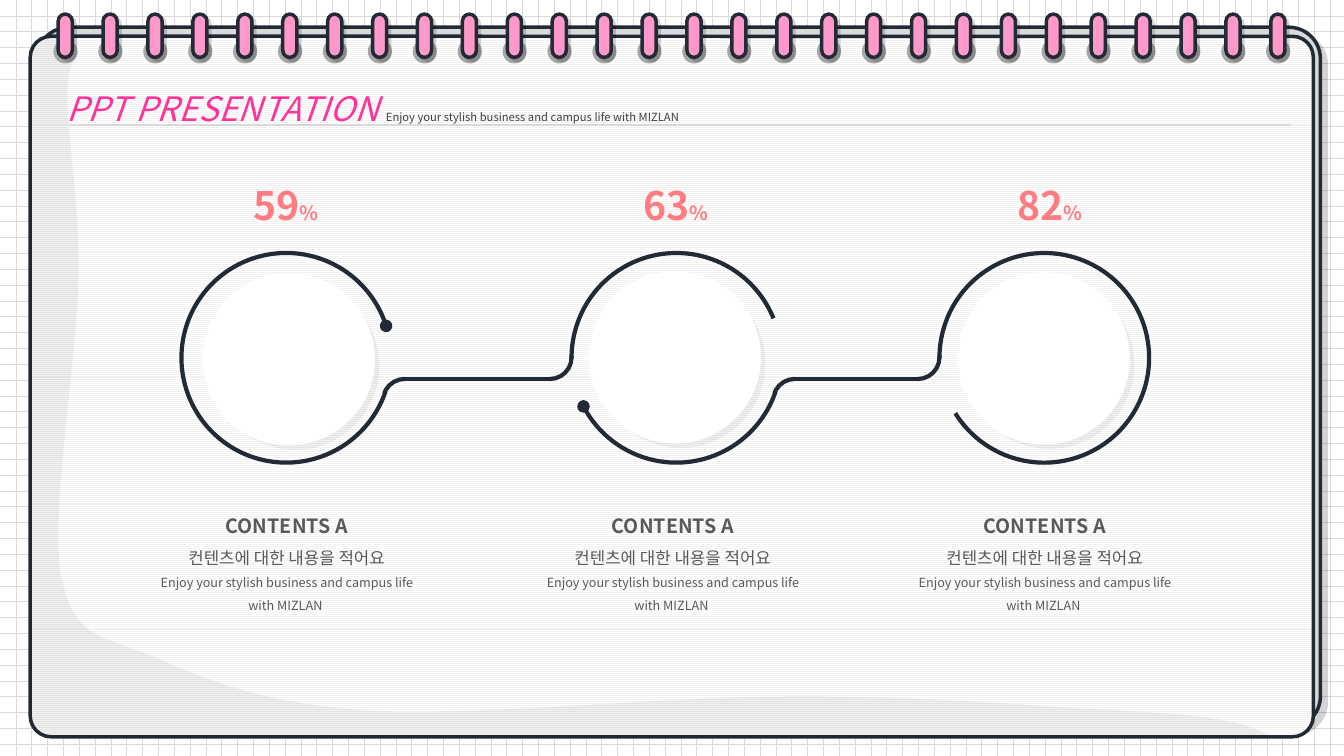
from dataclasses import dataclass

from lxml.etree import SubElement
from pptx import Presentation
from pptx.dml.color import RGBColor
from pptx.enum.dml import MSO_PATTERN
from pptx.enum.shapes import MSO_CONNECTOR, MSO_SHAPE
from pptx.enum.text import MSO_ANCHOR, MSO_AUTO_SIZE, PP_ALIGN
from pptx.oxml.ns import qn
from pptx.util import Emu, Pt

FONT = "Noto Sans CJK KR"
TAGLINE = "Enjoy your stylish business and campus life with MIZLAN"
COLORS = {
    "ink": "222A35", "grey": "D9D9D9", "hole": "A6A6A6", "stripe": "F2F2F2",
    "white": "FFFFFF", "black": "000000", "post": "FF99CC", "title": "FF3399",
    "dark": "404040", "body": "595959", "coral": "FF7C80",
}


@dataclass
class Shadow:
    alpha: int
    dist: int
    scale: int = 100


@dataclass
class Arc:
    left: int
    top: int
    size: int
    start: float
    end: float
    dot: bool = False
    turn: int = 0


@dataclass
class Column:
    value: str
    value_left: int
    text_left: int
    disc_left: int
    disc_top: int


def px(n: float) -> Emu:
    """100 px to the inch."""
    return Emu(round(n * 9144))


def rgb(name: str) -> RGBColor:
    return RGBColor.from_string(COLORS[name])


def pattern(fill, kind, fore: str) -> None:
    fill.patterned()
    fill.pattern = kind
    fill.fore_color.rgb = rgb(fore)
    fill.back_color.rgb = rgb("white")


def outline(line, color: str, width: float) -> None:
    line.color.rgb = rgb(color)
    line.width = Pt(width)


def add_shape(kind, left, top, width, height, fill="", border=0.0,
              adjust=(), shadow: Shadow | None = None):
    shape = slide.shapes.add_shape(kind, px(left), px(top), px(width), px(height))
    for i, value in enumerate(adjust):
        shape.adjustments[i] = value
    if fill:
        shape.fill.solid()
        shape.fill.fore_color.rgb = rgb(fill)
    else:
        shape.fill.background()
    if border:
        outline(shape.line, "ink", border)
    else:
        shape.line.fill.background()
    shape.shadow.inherit = False
    if shadow:
        effects = shape._element.spPr.find(qn("a:effectLst"))
        scale = str(shadow.scale * 1000)
        outer = SubElement(effects, qn("a:outerShdw"), blurRad="0",
                           dist=str(Pt(shadow.dist)), dir="2700000",
                           sx=scale, sy=scale, algn="tl", rotWithShape="0")
        color = SubElement(outer, qn("a:srgbClr"), val=COLORS["black"])
        SubElement(color, qn("a:alpha"), val=str(shadow.alpha * 1000))
    return shape


def add_line(x1: int, x2: int, y: int, color: str, width: float) -> None:
    line = slide.shapes.add_connector(MSO_CONNECTOR.STRAIGHT, px(x1), px(y), px(x2), px(y))
    outline(line.line, color, width)
    SubElement(line._element.spPr, qn("a:effectLst"))


def add_arc(arc: Arc) -> None:
    # Adjustments count 60000ths of a degree in units of 100000
    shape = add_shape(MSO_SHAPE.ARC, arc.left, arc.top, arc.size, arc.size,
                      border=3, adjust=(arc.start * 0.6, arc.end * 0.6))
    shape.rotation = arc.turn
    if arc.dot:
        SubElement(shape.line._get_or_add_ln(), qn("a:tailEnd"), type="oval")


def add_box(left: int, top: int, width: int, height: int):
    frame = slide.shapes.add_textbox(px(left), px(top), px(width), px(height)).text_frame
    frame.word_wrap = True
    frame.auto_size = MSO_AUTO_SIZE.SHAPE_TO_FIT_TEXT
    return frame


def write(para, text: str, *, size: int, color: str, bold=False, italic=False) -> None:
    run = para.add_run()
    run.text = text
    font = run.font
    font.size, font.bold, font.italic, font.name = Pt(size), bold, italic, FONT
    font.color.rgb = rgb(color)


def add_outline(start: tuple, steps: list):
    """Closed outline; a step of one point is a line, of three a curve."""
    builder = slide.shapes.build_freeform(px(start[0]), px(start[1]))
    builder.add_line_segments([(px(x), px(y)) for step in steps for x, y in step])
    shape = builder.convert_to_shape()
    trace = shape._element.spPr.find(".//" + qn("a:path"))
    lines = iter(trace.findall(qn("a:lnTo")))
    for step in steps:
        parts = [next(lines) for _ in step]
        if len(parts) == 3:
            curve = SubElement(trace, qn("a:cubicBezTo"))
            parts[0].addprevious(curve)
            for part in parts:
                curve.append(part[0])
                trace.remove(part)
    return shape


prs = Presentation()
prs.slide_width, prs.slide_height = px(1333.33), px(750)
slide = prs.slides.add_slide(prs.slide_layouts[6])
pattern(slide.background.fill, MSO_PATTERN.DOTTED_GRID, "grey")

# Notebook sheets and title
add_shape(MSO_SHAPE.ROUNDED_RECTANGLE, 37, 27, 1273, 695, "grey", 2.5, (0.045,), Shadow(17, 6))
sheet = add_shape(MSO_SHAPE.ROUNDED_RECTANGLE, 30, 36, 1273, 695, "white", 2.5, (0.03,))
pattern(sheet.fill, MSO_PATTERN.LIGHT_HORIZONTAL, "stripe")
sheet.text_frame.vertical_anchor = MSO_ANCHOR.TOP
title = sheet.text_frame.paragraphs[0]
title.alignment = PP_ALIGN.LEFT
title.line_spacing = 2.0
title._p.get_or_add_pPr().set("marL", str(px(20)))
write(title, "PPT PRESENTATION ", size=24, color="title", italic=True)
write(title, TAGLINE, size=8, color="dark")

# Shade along the left and bottom edges
EDGE = [
    ((75, 36),), ((76, 37),),
    ((81, 54), (66, 58), (67, 98)), ((67, 138), (79, 196), (78, 275)),
    ((77, 354), (49, 510), (61, 573)), ((74, 636), (103, 630), (154, 652)),
    ((204, 674), (262, 698), (366, 705)), ((469, 711), (660, 691), (776, 691)),
    ((891, 690), (985, 697), (1059, 702)), ((1133, 706), (1184, 708), (1221, 716)),
    ((1235, 719), (1247, 723), (1256, 728)),
    ((1262, 731),), ((51, 731),), ((39, 731), (30, 721), (30, 710)),
    ((30, 57),), ((30, 45), (39, 36), (51, 36)),
]
shade = add_outline((51, 36), EDGE)
shade.fill.solid()
shade.fill.fore_color.rgb = rgb("black")
SubElement(shade._element.spPr.find(".//" + qn("a:srgbClr")), qn("a:alpha"), val="6000")
shade.line.fill.background()
shade.shadow.inherit = False

add_line(68, 1281, 124, "grey", 1.25)

# Spiral binding
for i in range(28):
    left = 53 + i * 44.56
    add_shape(MSO_SHAPE.OVAL, left, 39, 24, 24, "hole")
    add_shape(MSO_SHAPE.ROUNDED_RECTANGLE, left + 4.7, 14, 14, 43, "post", 2.5,
              (0.5,), Shadow(17, 3))

# Rings and the links between them
ARCS = [
    Arc(180, 251, 208, 18.85, 342.27, dot=True),
    Arc(567, 251, 208, 179.68, 337.91),
    Arc(567, 251, 208, 18.85, 152.37, dot=True),
    Arc(932, 251, 208, 179.68, 148.07),
]
for arc in ARCS:
    add_arc(arc)
for x1, x2 in ((402, 546), (789, 911)):
    add_arc(Arc(x1 - 22, 376, 43, 199.42, 270.54))
    add_line(x1, x2, 376, "ink", 3)
    add_arc(Arc(x2 - 22, 333, 43, 175.9, 270.54, turn=180))

# Figures, captions and discs
COLUMNS = [
    Column("59", 221, 141, 201, 271),
    Column("63", 608, 524, 584, 269),
    Column("82", 979, 893, 950, 270),
]
CAPTION = [("CONTENTS A", 14, True), ("컨텐츠에 대한 내용을 적어요", 12, False),
           (TAGLINE + " ", 9, False)]
for col in COLUMNS:
    frame = add_box(col.text_left, 493, 287, 118)
    for i, (text, size, bold) in enumerate(CAPTION):
        para = frame.add_paragraph() if i else frame.paragraphs[0]
        para.alignment = PP_ALIGN.CENTER
        para.line_spacing = 1.5
        write(para, text, size=size, color="body", bold=bold)
    para = add_box(col.value_left, 175, 126, 57).paragraphs[0]
    para.alignment = PP_ALIGN.CENTER
    write(para, col.value, size=28, color="coral", bold=True)
    write(para, "%", size=14, color="coral", bold=True)
    add_shape(MSO_SHAPE.OVAL, col.disc_left, col.disc_top, 171, 171, "white",
              shadow=Shadow(5, 8, 98))

prs.save("out.pptx")
